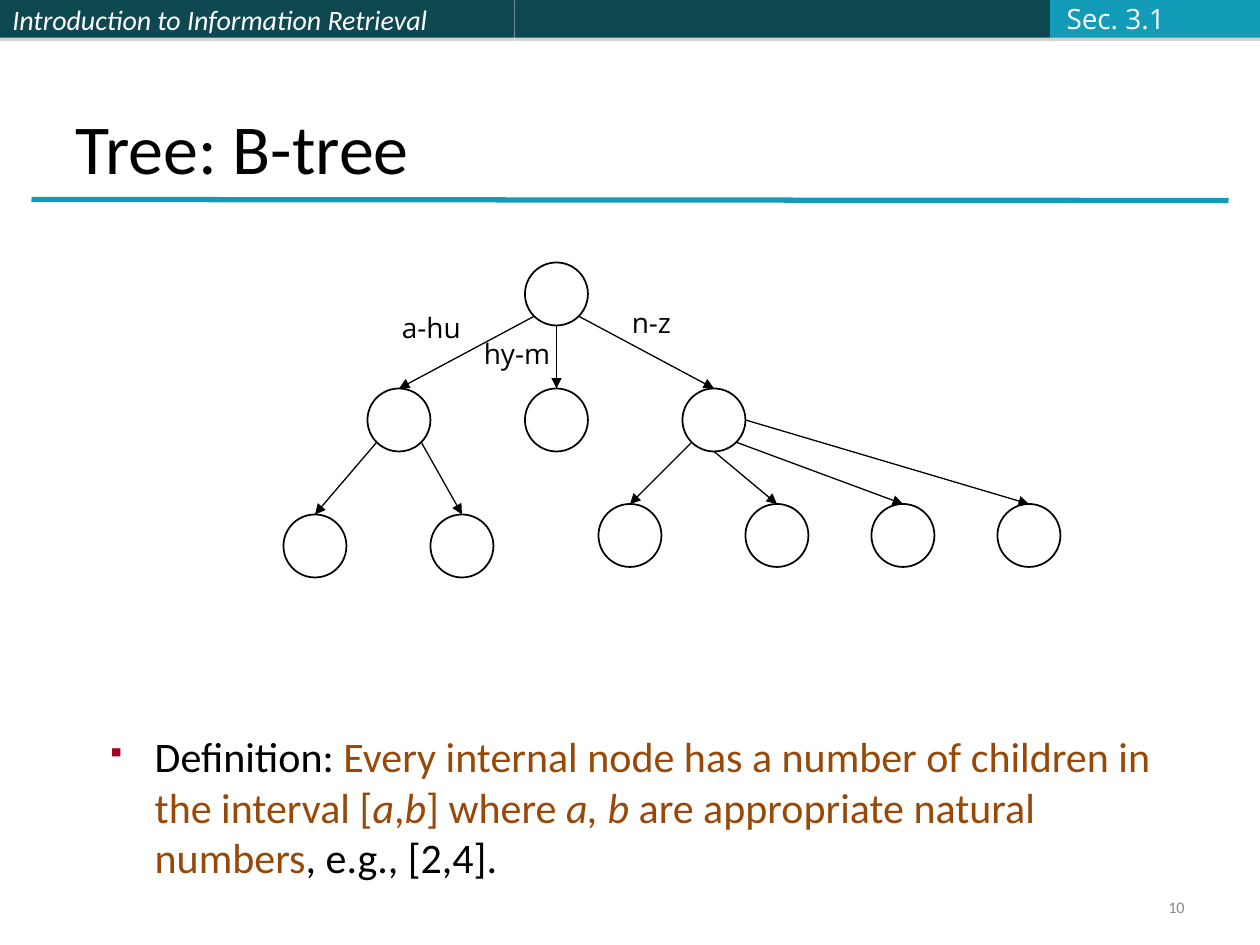
from math import cos, radians, sin

from lxml.etree import SubElement
from pptx import Presentation
from pptx.dml.color import RGBColor
from pptx.enum.shapes import MSO_CONNECTOR, MSO_SHAPE
from pptx.enum.text import MSO_ANCHOR, PP_ALIGN
from pptx.oxml.ns import qn
from pptx.util import Inches, Pt

COLORS = {"ink": "000000", "dark": "0E4851", "teal": "139CB7", "white": "FFFFFF",
          "section": "FBFCFF", "brown": "984807", "bullet": "A50021",
          "page": "898989", "shade": "808080"}
CELL = Inches(1 / 12)  # the slide is a grid of 120 columns by 90 rows
NODE = 6  # node diameter in cells


def cells(*counts):
    return [round(count * CELL) for count in counts]


def color(name):
    return RGBColor.from_string(COLORS[name])


def write(frame, runs, size, font="Calibri", fill="ink", italic=False, wrap=True,
          anchor=MSO_ANCHOR.TOP, align=PP_ALIGN.LEFT, spacing=None):
    """Write a string, or a list of (text, colour, italic) runs, as one paragraph."""
    frame.word_wrap = wrap
    frame.vertical_anchor = anchor
    paragraph = frame.paragraphs[0]
    paragraph.alignment = align
    paragraph.line_spacing = spacing
    if isinstance(runs, str):
        runs = [(runs, fill, italic)]
    for words, run_fill, run_italic in runs:
        run = paragraph.add_run()
        run.text = words
        run.font.name = font
        run.font.size = Pt(size)
        run.font.italic = run_italic
        run.font.color.rgb = color(run_fill)
    return paragraph


def add_label(slide, box, runs, size, **style):
    frame = slide.shapes.add_textbox(*cells(*box)).text_frame
    return write(frame, runs, size, **style)


def add_line(slide, start, end, fill, width, arrow=False):
    line = slide.shapes.add_connector(MSO_CONNECTOR.STRAIGHT, *cells(*start, *end))
    line.line.color.rgb = color(fill)
    line.line.width = Pt(width)
    SubElement(line._element.spPr, qn("a:effectLst"))
    if arrow:
        SubElement(line.line._get_or_add_ln(), qn("a:tailEnd"), type="triangle")
    return line


def add_band(slide, box, fill):
    band = slide.shapes.add_shape(MSO_SHAPE.RECTANGLE, *cells(*box))
    band.fill.solid()
    band.fill.fore_color.rgb = color(fill)
    band.line.fill.background()
    # Thin grey shadow straight below
    effects = SubElement(band._element.spPr, qn("a:effectLst"))
    shadow = SubElement(effects, qn("a:outerShdw"), blurRad="0", dist=str(Pt(1.8)),
                        dir="5400000", algn="ctr", rotWithShape="0")
    shade = SubElement(shadow, qn("a:srgbClr"), val=COLORS["shade"])
    SubElement(shade, qn("a:alpha"), val="35000")
    return band


def add_header(slide, box):
    left, top, width, height = box
    edges = [left, left + 49, left + 100, left + width]
    bands = [add_band(slide, (start, top, end - start, height), fill)
             for start, end, fill in zip(edges, edges[1:], ("dark", "dark", "teal"))]
    write(bands[0].text_frame, "Introduction to Information Retrieval", 16,
          fill="white", italic=True, anchor=MSO_ANCHOR.MIDDLE)
    add_label(slide, (edges[2] + 0.4, top - 0.5, 11.8, 4.4), "Sec. 3.1", 16,
              font="Open Sans", fill="section", wrap=False, anchor=MSO_ANCHOR.MIDDLE)


def add_title(slide, box):
    left, top, width, height = box
    title = slide.shapes.title
    title.left, title.top, title.width, title.height = cells(*box)
    write(title.text_frame, "Tree: B-tree", 40, anchor=MSO_ANCHOR.BOTTOM)
    rule = top + height + 0.4
    add_line(slide, (left - 3, rule), (left + width + 3, rule + 0.1), "teal", 3)


def add_tree(slide, box):
    left, top = box[:2]

    def add_node(column, row):
        corner = left + column - NODE / 2, top + row - NODE / 2
        node = slide.shapes.add_shape(MSO_SHAPE.OVAL, *cells(*corner, NODE, NODE))
        node.shadow.inherit = False
        node.fill.background()
        node.line.color.rgb = color("ink")
        node.line.width = Pt(1)
        return node

    # Node centres in the box, by column and row
    centers = {"root": (26, 3), "a-hu": (11, 15), "hy-m": (26, 15), "n-z": (41, 15),
               "a1": (3, 27), "a2": (17, 27),
               "n1": (33, 26), "n2": (47, 26), "n3": (59, 26), "n4": (71, 26)}
    nodes = {name: add_node(*center) for name, center in centers.items()}

    # Parent, child, and the angle at which the arrow leaves the parent
    edges = [("root", "a-hu", 135), ("root", "hy-m", 90), ("root", "n-z", 45),
             ("a-hu", "a1", 135), ("a-hu", "a2", 45),
             ("n-z", "n1", 135), ("n-z", "n2", 90), ("n-z", "n3", 45), ("n-z", "n4", 0)]
    for parent, child, angle in edges:
        column, row = centers[parent]
        start = (left + column + NODE / 2 * cos(radians(angle)),
                 top + row + NODE / 2 * sin(radians(angle)))
        child_column, child_row = centers[child]
        end = left + child_column, top + child_row - NODE / 2
        add_line(slide, start, end, "ink", 0.75, arrow=True).end_connect(nodes[child], 0)

    # Key ranges beside the root's arrows
    for keys, column, row, width in [("a-hu", 10.1, 4, 8), ("hy-m", 17.9, 6.5, 8.8),
                                     ("n-z", 32, 3.5, 6.1)]:
        add_label(slide, (left + column, top + row, width, 4.4), keys, 16,
                  font="Open Sans", wrap=False)


def add_definition(slide, box):
    paragraph = add_label(slide, box, [
        ("Definition: ", "ink", False),
        ("Every internal node has a number of children in the interval [", "brown", False),
        ("a", "brown", True), (",", "brown", False), ("b", "brown", True),
        ("] where ", "brown", False), ("a, b", "brown", True),
        (" are appropriate natural numbers", "brown", False),
        (", e.g., [2,4].", "ink", False)], 24)
    properties = paragraph._p.get_or_add_pPr()
    properties.set("marL", str(Inches(0.38)))
    properties.set("indent", str(-Inches(0.38)))
    bullet_color = SubElement(properties, qn("a:buClr"))
    SubElement(bullet_color, qn("a:srgbClr"), val=COLORS["bullet"])
    SubElement(properties, qn("a:buSzPct"), val="60000")
    SubElement(properties, qn("a:buChar"), char="▪")


def main():
    deck = Presentation()
    deck.slide_width, deck.slide_height = cells(120, 90)
    slide = deck.slides.add_slide(deck.slide_layouts.get_by_name("Title Only"))
    add_header(slide, (0, 0, 120, 3.6))
    add_title(slide, (6, 3.6, 108, 15))
    add_tree(slide, (27, 25, 74, 30))
    add_definition(slide, (9, 69, 102, 18))
    # Page number
    add_label(slide, (86, 85, 28, 3.2), "10", 9.3, fill="page",
              anchor=MSO_ANCHOR.MIDDLE, align=PP_ALIGN.RIGHT, spacing=0.8)
    deck.save("out.pptx")


if __name__ == "__main__":
    main()
